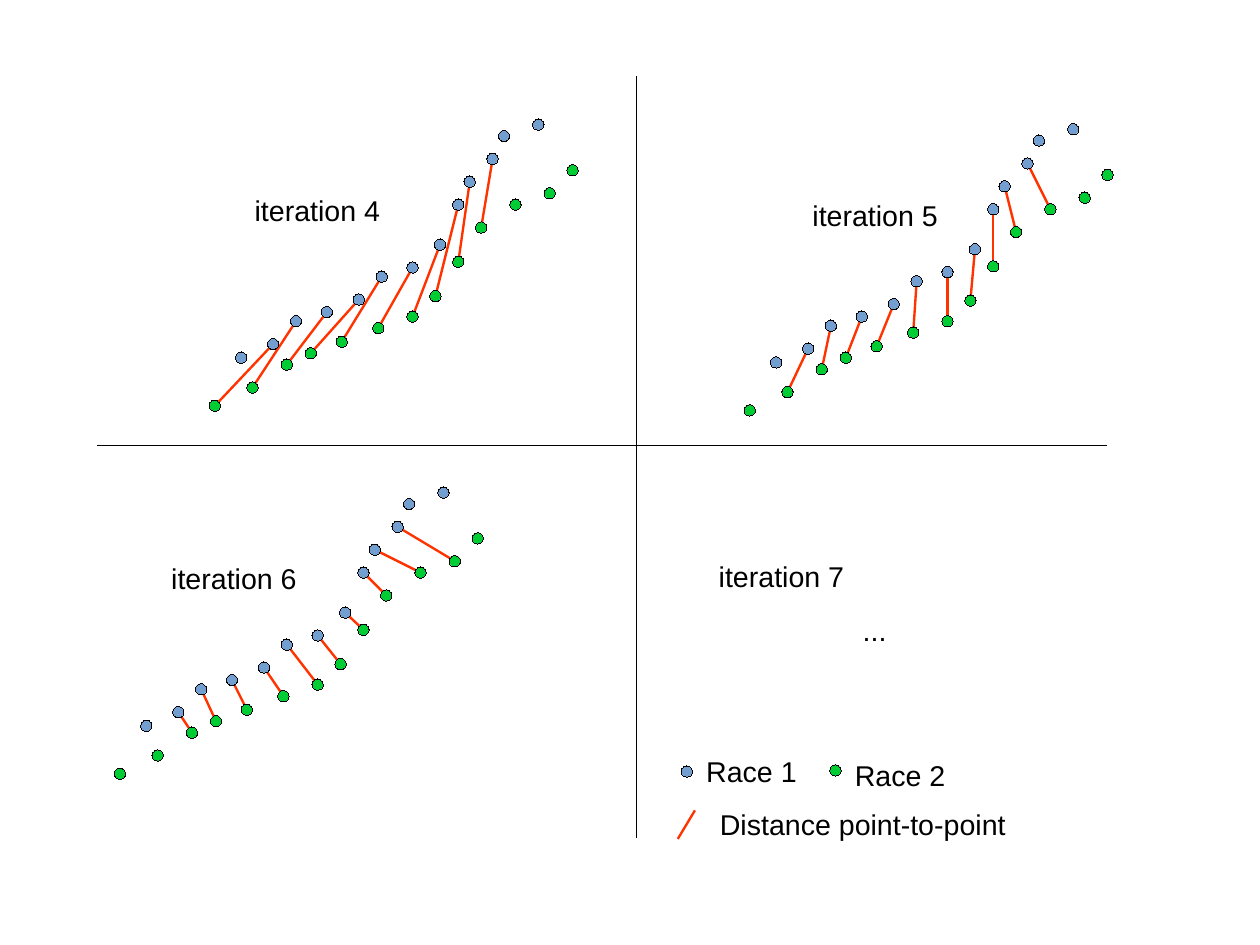
from lxml import etree
from pptx import Presentation
from pptx.dml.color import RGBColor
from pptx.enum.shapes import MSO_CONNECTOR, MSO_SHAPE
from pptx.enum.text import MSO_AUTO_SIZE
from pptx.oxml.ns import qn
from pptx.util import Cm, Emu, Pt

ELLIPSE = MSO_SHAPE.OVAL
STRAIGHT = MSO_CONNECTOR.STRAIGHT
GROW = MSO_AUTO_SIZE.SHAPE_TO_FIT_TEXT

EMU_PER_PX = 9144  # 100 px to the inch
PAGE_SIZE = Cm(28), Cm(21)
BLANK_LAYOUT = 6
DOT_SIZE = 10
LABEL_HEIGHT = 38

# Left and top of each dot, measured from the corner of its panel
RACE_1 = [(23, 204), (51, 192), (71, 172), (98, 164), (126, 153),
          (146, 133), (173, 125), (197, 105), (213, 70), (223, 50),
          (243, 30), (253, 10), (283, 0)]
RACE_2 = [(0, 246), (33, 230), (63, 210), (84, 200), (111, 190),
          (143, 178), (173, 168), (193, 150), (213, 120), (233, 90),
          (263, 70), (293, 60), (313, 40)]
MATCHED = range(1, 11)

# Name, panel corner, label position, index shift from race 1 to race 2
ITERATIONS = [
    ("iteration 5", (651, 108), (701, 168), 0),
    ("iteration 4", (183, 104), (213, 164), -1),
    ("iteration 6", (100, 426), (140, 486), 1),
]


def px(length):
    return Emu(length * EMU_PER_PX)


def color(hex_code):
    return RGBColor.from_string(hex_code)


class RaceSlide:
    font = "Arial"
    font_size = Pt(18)
    black = "000000"
    race_1 = "729FCF"
    race_2 = "00CC33"
    distance = "FF3300"
    hairline = Emu(1)  # a width of 0 would fall back to the theme's line
    distance_width = Pt(1.5)

    def __init__(self, deck):
        self.shapes = deck.slides.add_slide(deck.slide_layouts[BLANK_LAYOUT]).shapes

    def line(self, start, end, line_color, width):
        connector = self.shapes.add_connector(STRAIGHT, *map(px, (*start, *end)))
        connector.line.color.rgb = color(line_color)
        connector.line.width = width
        etree.SubElement(connector._element.spPr, qn("a:effectLst"))

    def distance_line(self, start, end):
        self.line(start, end, self.distance, self.distance_width)

    def divider(self, start, end):
        self.line(start, end, self.black, self.hairline)

    def dot(self, left, top, fill):
        dot = self.shapes.add_shape(
            ELLIPSE, px(left), px(top), px(DOT_SIZE), px(DOT_SIZE))
        dot.shadow.inherit = False
        dot.fill.solid()
        dot.fill.fore_color.rgb = color(fill)
        dot.line.color.rgb = color(self.black)
        dot.line.width = self.hairline

    def label(self, text, left, top, width):
        box = self.shapes.add_textbox(px(left), px(top), px(width), px(LABEL_HEIGHT))
        frame = box.text_frame
        frame.word_wrap = False
        frame.auto_size = GROW
        para = frame.paragraphs[0]
        para.text = text
        para.font.name = self.font
        para.font.size = self.font_size
        para.font.color.rgb = color(self.black)

    def iteration(self, name, corner, label_at, shift):
        """Draw both races, the matched distances and the panel's name."""
        left, top = corner
        radius = DOT_SIZE // 2

        def center(point):
            return left + point[0] + radius, top + point[1] + radius

        for index in MATCHED:
            self.distance_line(center(RACE_1[index]), center(RACE_2[index + shift]))
        for race, fill in ((RACE_1, self.race_1), (RACE_2, self.race_2)):
            for x, y in race:
                self.dot(left + x, top + y, fill)
        self.label(name, *label_at, 130)

    def legend(self):
        self.dot(726, 669, self.race_2)
        self.dot(596, 670, self.race_1)
        self.label("Race 1", 608, 655, 99)
        self.label("Race 2", 738, 658, 99)
        self.distance_line((608, 709), (593, 734))
        self.label("Distance point-to-point", 620, 701, 270)


def main():
    deck = Presentation()
    deck.slide_width, deck.slide_height = PAGE_SIZE
    slide = RaceSlide(deck)
    for panel in ITERATIONS:
        slide.iteration(*panel)
    slide.legend()
    slide.label("iteration 7", 619, 484, 130)
    slide.label("...", 745, 531, 60)
    slide.divider((557, 67), (557, 733))
    slide.divider((85, 390), (968, 390))
    deck.save("out.pptx")


if __name__ == "__main__":
    main()
